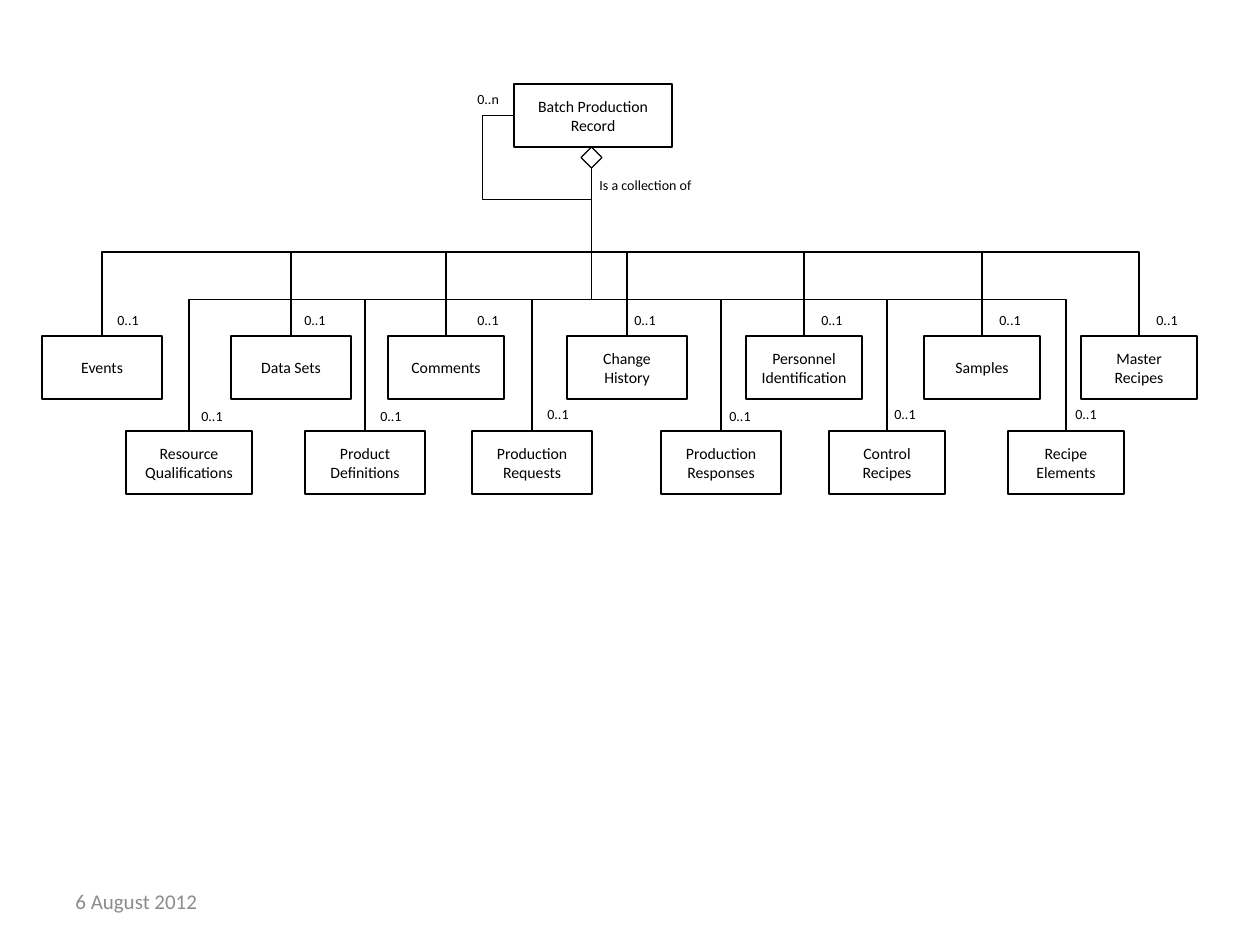
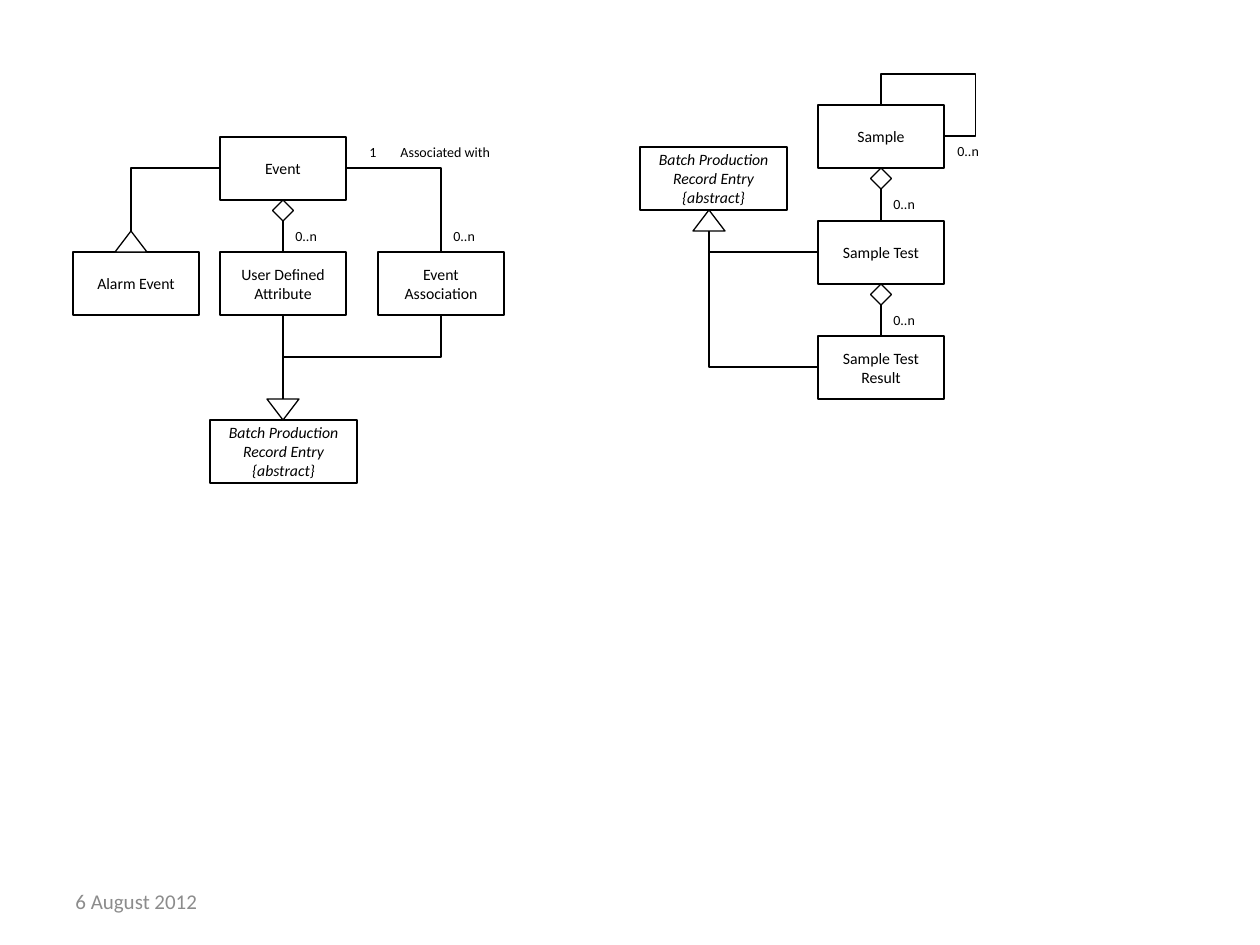
import dataclasses
import typing

import pptx
import pptx.dml.color
import pptx.enum.shapes
import pptx.enum.text
import pptx.oxml
import pptx.oxml.ns
import pptx.util

PRESET = pptx.enum.shapes.MSO_SHAPE
CONNECTOR = pptx.enum.shapes.MSO_CONNECTOR
ANCHOR = pptx.enum.text.MSO_ANCHOR
ALIGN = pptx.enum.text.PP_ALIGN
AUTO_SIZE = pptx.enum.text.MSO_AUTO_SIZE

EMU_PER_PX = 914400 / 126
BLACK, WHITE, GREY = "000000", "FFFFFF", "8C8C8C"
BOX_HEIGHT = 63
CLASS_WIDTH = 126
ENTRY_WIDTH = 147
MARK = 21
TRIANGLE_WIDTH = 32
LABEL_SIZE = (49, 29)
ENTRY_TEXT = "Batch Production Record Entry\n{abstract}"

BOX_FONT = {"name": "Calibri", "size": pptx.util.Pt(9)}
ENTRY_FONT = BOX_FONT | {"italic": True}
LABEL_FONT = BOX_FONT | {"size": pptx.util.Pt(8)}
DATE_FONT = BOX_FONT | {"size": pptx.util.Pt(12)}
BOX_FRAME = {"word_wrap": True, "vertical_anchor": ANCHOR.MIDDLE}
LABEL_FRAME = {"word_wrap": False, "auto_size": AUTO_SIZE.SHAPE_TO_FIT_TEXT}

UPPER_ROW = [
    (0, 120, "Events", 63),
    (189, 120, "Data Sets", 250),
    (346, 116, "Comments", 423),
    (525, 120, "Change History", 580),
    (704, 116, "Personnel\nIdentification", 767),
    (882, 116, "Samples", 945),
    (1039, 116, "Master Recipes", 1102),
]
LOWER_ROW = [
    (84, 126, "Resource Qualifications", 147),
    (263, 120, "Product Definitions", 326),
    (430, 120, "Production Requests", 493),
    (619, 120, "Production\nResponses", 675),
    (787, 116, "Control Recipes", 840),
    (966, 116, "Recipe\nElements", 1021),
]


def emu(pixels):
    return pptx.util.Emu(round(pixels * EMU_PER_PX))


def color(value):
    return pptx.dml.color.RGBColor.from_string(value)


def apply(target, values):
    for name, value in values.items():
        setattr(target, name, value)


def write(shape, text, font, frame, text_color=BLACK, alignment=ALIGN.LEFT):
    text_frame = shape.text_frame
    text_frame.text = text
    apply(text_frame, frame)
    for paragraph in text_frame.paragraphs:
        paragraph.alignment = alignment
        apply(paragraph.font, font)
        paragraph.font.color.rgb = color(text_color)


def outline(shape):
    shape.line.color.rgb = color(BLACK)
    shape.line.width = pptx.util.Pt(0.75)


@dataclasses.dataclass
class Region:
    slide: typing.Any
    left: int
    top: int

    def place(self, x, y):
        return emu(self.left + x), emu(self.top + y)

    def shape(self, preset, x, y, width, height):
        shape = self.slide.shapes.add_shape(
            preset, *self.place(x, y), emu(width), emu(height))
        shape.shadow.inherit = False
        shape.fill.solid()
        shape.fill.fore_color.rgb = color(WHITE)
        outline(shape)
        return shape

    def box(self, x, y, width, text, font=BOX_FONT):
        shape = self.shape(PRESET.RECTANGLE, x, y, width, BOX_HEIGHT)
        write(shape, text, font, BOX_FRAME, alignment=ALIGN.CENTER)
        return shape

    def diamond(self, center, y):
        return self.shape(PRESET.DIAMOND, center - MARK / 2, y, MARK, MARK)

    def triangle(self, center, y, rotation=0):
        shape = self.shape(PRESET.ISOSCELES_TRIANGLE,
                           center - TRIANGLE_WIDTH / 2, y, TRIANGLE_WIDTH, MARK)
        shape.rotation = rotation

    def label(self, x, y, text, size=LABEL_SIZE, font=LABEL_FONT,
              frame=LABEL_FRAME, text_color=BLACK):
        shape = self.slide.shapes.add_textbox(
            *self.place(x, y), *map(emu, size))
        write(shape, text, font, frame, text_color)

    def connector(self, kind, start, end):
        connector = self.slide.shapes.add_connector(
            kind, *self.place(*start), *self.place(*end))
        outline(connector)
        connector.element.spPr.append(
            pptx.oxml.parse_xml(f"<a:effectLst {pptx.oxml.ns.nsdecls('a')}/>"))
        return connector

    def line(self, start, end):
        return self.connector(CONNECTOR.STRAIGHT, start, end)

    def join(self, lower, upper):
        line = self.line((0, 0), (0, 0))
        line.begin_connect(lower, 0)
        line.end_connect(upper, 2)

    def elbow(self, start, end, bends=3, adjustments=()):
        connector = self.connector(CONNECTOR.ELBOW, start, end)
        geometry = connector.element.spPr.prstGeom
        geometry.set("prst", f"bentConnector{bends}")
        for number, value in enumerate(adjustments, 1):
            guide = geometry.get_or_add_avLst()._add_gd()
            guide.set("name", f"adj{number}")
            guide.set("fmla", f"val {round(value * 100000)}")
        return connector

    def upright_elbow(self, start, end, bends=3):
        (x1, y1), (x2, y2) = start, end
        middle_x, middle_y = (x1 + x2) / 2, (y1 + y2) / 2
        half_width, half_height = abs(y2 - y1) / 2, abs(x2 - x1) / 2
        if (x2 > x1) == (y2 > y1):
            half_width = -half_width
        connector = self.elbow(
            (middle_x - half_width, middle_y - half_height),
            (middle_x + half_width, middle_y + half_height), bends)
        angle = 270 if x2 > x1 else 90
        connector.element.spPr.xfrm.set("rot", str(angle * 60000))


def add_date(slide):
    Region(slide, 63, 876).label(
        0, 0, "6 August 2012", (294, 50), DATE_FONT, BOX_FRAME, GREY)


def add_record_tree(slide, left, top):
    region = Region(slide, left, top)
    hub = (549.5, 84)
    rows = [(252, UPPER_ROW), (347, LOWER_ROW)]
    for row_top, entries in rows:
        for x, width, text, label_x in entries:
            region.upright_elbow((x + width / 2, row_top), hub)
            region.box(x, row_top, width, text)
            raised = text in ("Production Requests", "Control Recipes",
                              "Recipe\nElements")
            label_top = row_top - (32 if raised else 30)
            region.label(label_x, label_top - (row_top == 252), "0..1")
    region.elbow((472, 31.5), hub, 4, (-0.41, 1.6))
    region.box(472, 0, 158, "Batch Production Record")
    region.diamond(hub[0], BOX_HEIGHT)
    region.label(545, 86, "Is a collection of", (126, 29))
    region.label(423, 0, "0..n")


def add_event_model(slide, left, top):
    region = Region(slide, left, top)
    center, side = 210, 368
    event = region.box(147, 0, CLASS_WIDTH, "Event")
    region.box(0, 115, CLASS_WIDTH, "Alarm Event")
    attribute = region.box(147, 115, CLASS_WIDTH, "User Defined Attribute")
    region.box(305, 115, CLASS_WIDTH, "Event Association")
    region.join(attribute, region.diamond(center, BOX_HEIGHT))
    region.elbow((147, 31), (58, 94), 2)
    region.triangle(58, 94)
    region.elbow((273, 31), (side, 115), 2)
    region.upright_elbow((side, 178), (center, 262))
    region.line((center, 178), (center, 262)).begin_connect(attribute, 2)
    region.box(137, 283, ENTRY_WIDTH, ENTRY_TEXT, ENTRY_FONT)
    region.triangle(center, 262, 180)
    region.label(284, 0, "1", (33, 29))
    region.label(315, 0, "Associated with", (147, 29),
                 frame=LABEL_FRAME | {"word_wrap": True})
    for x in (center, side):
        region.label(x, 84, "0..n")


def add_sample_model(slide, left, top):
    region = Region(slide, left, top)
    column, center, apex = 178, 241, 69
    upper, upper_top = None, 0
    for y, text in [(32, "Sample"), (148, "Sample Test"),
                    (263, "Sample Test Result")]:
        box = region.box(column, y, CLASS_WIDTH, text)
        if upper:
            mark_top = upper_top + BOX_HEIGHT
            region.join(box, region.diamond(center, mark_top))
            region.label(center, mark_top + MARK, "0..n")
            region.upright_elbow((apex, 158), (column, y + 31), 2)
        upper, upper_top = box, y
    region.elbow((304, 63), (center, 32), 4, (-0.5, 2))
    region.label(305, 63, "0..n")
    region.box(0, 74, ENTRY_WIDTH, ENTRY_TEXT, ENTRY_FONT)
    region.triangle(apex, 137)


def main():
    presentation = pptx.Presentation()
    apply(presentation, {"slide_width": emu(1260), "slide_height": emu(945)})
    slides = []
    for _ in range(2):
        slide = presentation.slides.add_slide(presentation.slide_layouts[6])
        add_date(slide)
        slides.append(slide)
    record_slide, detail_slide = slides
    add_record_tree(record_slide, 42, 84)
    add_event_model(detail_slide, 73, 137)
    add_sample_model(detail_slide, 640, 73)
    presentation.save("out.pptx")


if __name__ == "__main__":
    main()
